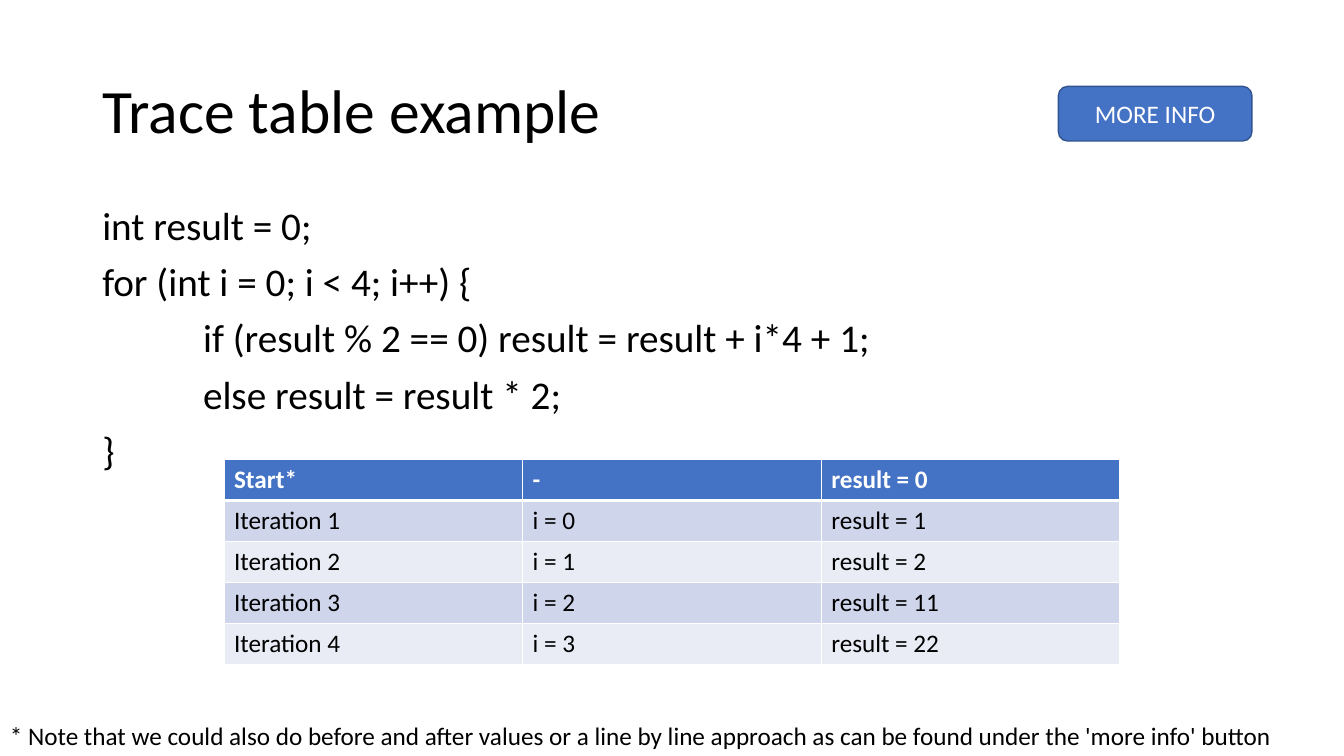
from dataclasses import dataclass

import pptx
import pptx.dml.color
import pptx.enum.shapes
import pptx.enum.text
import pptx.oxml
import pptx.oxml.ns
import pptx.util

Pt = pptx.util.Pt
RGB = pptx.dml.color.RGBColor.from_string
ANCHOR = pptx.enum.text.MSO_ANCHOR
ALIGN = pptx.enum.text.PP_ALIGN
AUTO_SIZE = pptx.enum.text.MSO_AUTO_SIZE


@dataclass(frozen=True)
class Theme:
    font: str = "Calibri"
    ink: str = "000000"
    paper: str = "FFFFFF"
    accent: str = "4472C4"
    accent_edge: str = "325491"
    bands: tuple = ("CFD5EA", "E9EBF5")
    title_size: int = 44
    code_size: int = 28
    small_size: int = 18


THEME = Theme()

CODE = [
    (0, "int result = 0;"),
    (0, "for (int i = 0; i < 4; i++) {"),
    (1, "if (result % 2 == 0) result = result + i*4 + 1;"),
    (1, "else result = result * 2;"),
    (0, "}"),
]
RESULTS = [1, 2, 11, 22]
NOTE = ("* Note that we could also do before and after values or a line by line "
        "approach as can be found under the 'more info' button")


def add_run(paragraph, text, size, color=THEME.ink, bold=False):
    run = paragraph.add_run()
    run.text = text
    run.font.name = THEME.font
    run.font.size = Pt(size)
    run.font.bold = bold
    run.font.color.rgb = RGB(color)


def place_title(slide, text):
    title = slide.shapes.title
    title.left, title.top, title.width, title.height = Pt(66), Pt(28.75), Pt(828), Pt(104.4)
    frame = title.text_frame
    frame.auto_size = AUTO_SIZE.NONE
    frame.vertical_anchor = ANCHOR.MIDDLE
    line = frame.paragraphs[0]
    line.alignment = ALIGN.LEFT
    line.line_spacing = 0.9
    add_run(line, text, THEME.title_size)


def add_code(slide, lines):
    frame = slide.shapes.add_textbox(Pt(66), Pt(143.75), Pt(828), Pt(342.6)).text_frame
    frame.word_wrap = True
    for number, (level, text) in enumerate(lines):
        line = frame.add_paragraph() if number else frame.paragraphs[0]
        line.line_spacing = 0.9
        line.space_before = Pt(10)
        line._p.get_or_add_pPr().set("marL", str(Pt(72 * level)))
        add_run(line, text, THEME.code_size)


def set_borders(cell, bottom):
    """Draw white cell edges, with the bottom one at its own width."""
    properties = cell._tc.get_or_add_tcPr()
    for position, (side, width) in enumerate(
            [("lnL", 1), ("lnR", 1), ("lnT", 1), ("lnB", bottom)]):
        edge = pptx.oxml.parse_xml(
            f'<a:{side} {pptx.oxml.ns.nsdecls("a")} w="{Pt(width)}"><a:solidFill>'
            f'<a:srgbClr val="{THEME.paper}"/></a:solidFill></a:{side}>')
        properties.insert(position, edge)


def add_trace_table(slide, rows):
    row_height, column_width = Pt(29.2), Pt(213.33)
    table = slide.shapes.add_table(
        len(rows), len(rows[0]), Pt(160), Pt(328.4),
        column_width * len(rows[0]), row_height * len(rows)).table
    for column in table.columns:
        column.width = column_width
    for r, values in enumerate(rows):
        table.rows[r].height = row_height
        header = r == 0
        fill = THEME.accent if header else THEME.bands[(r - 1) % 2]
        for c, value in enumerate(values):
            cell = table.cell(r, c)
            cell.fill.solid()
            cell.fill.fore_color.rgb = RGB(fill)
            set_borders(cell, bottom=3 if header else 1)
            add_run(cell.text_frame.paragraphs[0], value, THEME.small_size,
                    THEME.paper if header else THEME.ink, bold=header)


def add_footnote(slide, text):
    frame = slide.shapes.add_textbox(0, Pt(510.9), Pt(928), Pt(29.1)).text_frame
    frame.word_wrap = False
    frame.auto_size = AUTO_SIZE.SHAPE_TO_FIT_TEXT
    add_run(frame.paragraphs[0], text, THEME.small_size)


def add_button(slide, label):
    button = slide.shapes.add_shape(
        pptx.enum.shapes.MSO_SHAPE.FLOWCHART_ALTERNATE_PROCESS,
        Pt(756), Pt(61.75), Pt(138.25), Pt(39))
    button.shadow.inherit = False
    button.fill.solid()
    button.fill.fore_color.rgb = RGB(THEME.accent)
    button.line.color.rgb = RGB(THEME.accent_edge)
    button.line.width = Pt(1)
    button.text_frame.vertical_anchor = ANCHOR.MIDDLE
    caption = button.text_frame.paragraphs[0]
    caption.alignment = ALIGN.CENTER
    add_run(caption, label, THEME.small_size, THEME.paper)


def main():
    deck = pptx.Presentation()
    deck.slide_width, deck.slide_height = Pt(960), Pt(540)
    slide = deck.slides.add_slide(deck.slide_layouts.get_by_name("Title Only"))
    place_title(slide, "Trace table example")
    add_code(slide, CODE)
    iterations = [(f"Iteration {i + 1}", f"i = {i}", f"result = {result}")
                  for i, result in enumerate(RESULTS)]
    add_trace_table(slide, [("Start*", "-", "result = 0"), *iterations])
    add_footnote(slide, NOTE)
    add_button(slide, "MORE INFO")
    deck.save("out.pptx")


if __name__ == "__main__":
    main()
